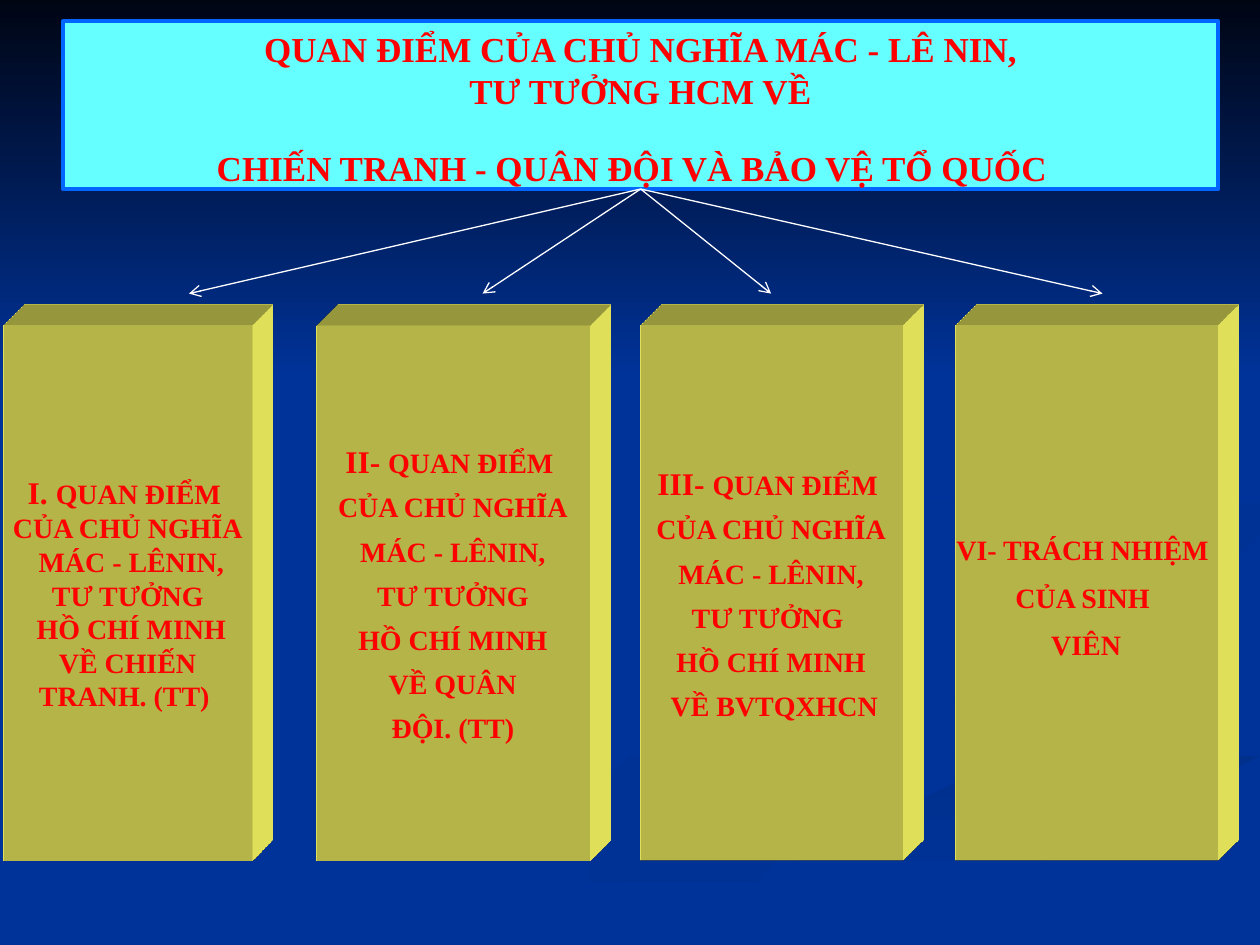
from dataclasses import dataclass
from lxml.etree import SubElement
from pptx import Presentation
from pptx.dml.color import RGBColor
from pptx.enum.shapes import MSO_CONNECTOR, MSO_SHAPE
from pptx.enum.text import MSO_ANCHOR, PP_ALIGN
from pptx.oxml import parse_xml
from pptx.oxml.ns import nsdecls, qn
from pptx.util import Inches, Pt


@dataclass(frozen=True)
class Theme:
    font: str = "Times New Roman"
    back: str = "003399"
    night: str = "000514"
    panel: str = "66FFFF"
    edge: str = "0066FF"
    block: str = "FFFF66"
    text: str = "FF0000"
    arrow: str = "FFFFFF"
    head: int = 20
    mark: int = 18
    body: int = 16
    tall: int = 40


T = Theme()
W, H = 10, 7.5

# Content: each line is a list of (text, size) runs
TITLE = [
    [("QUAN ĐIỂM CỦA CHỦ NGHĨA MÁC - LÊ NIN,", T.head)],
    [(" TƯ TƯỞNG HCM VỀ ", T.head)],
    [("CHIẾN TRANH - QUÂN ĐỘI VÀ BẢO VỆ TỔ QUỐC", T.head), (" ", T.tall)],
]
# Columns: left, width, arrow tip, numeral, lines, paragraph format
COLS = [
    (0.03, 1.97, 1.5, "I. ",
     ["QUAN ĐIỂM ", "CỦA CHỦ NGHĨA", " MÁC - LÊNIN,", "TƯ TƯỞNG",
      " HỒ CHÍ MINH", " VỀ CHIẾN ", "TRANH. (TT) "], {}),
    (2.51, 2.17, 3.83, "II- ",
     ["QUAN ĐIỂM ", "CỦA CHỦ NGHĨA", "MÁC - LÊNIN,", "TƯ TƯỞNG",
      "HỒ CHÍ MINH", " VỀ QUÂN ", "ĐỘI. (TT)"], {"before": 6}),
    (5.08, 2.08, 6.12, "III- ",
     ["QUAN ĐIỂM ", "CỦA CHỦ NGHĨA", "MÁC - LÊNIN,", "TƯ TƯỞNG ",
      "HỒ CHÍ MINH", " VỀ BVTQXHCN"], {"before": 6}),
    (7.58, 2.08, 8.75, "",
     ["VI- TRÁCH NHIỆM ", "CỦA SINH ", "VIÊN"],
     {"before": 3.2, "space": 1.25}),
]
# Backdrop ribbons: first colour, last colour, angle, outline
RIBBONS = [
    (T.back, "003193", 0,
     [(7.81, 5.53), (7.31, 5.33), (6.42, 5.07), (5.87, 4.81), (5.75, 4.59),
      (5.72, 4.76), (6.02, 4.95), (6.79, 5.19), (7.41, 5.39), (7.81, 5.56),
      (7.85, 5.7), (7.59, 5.9), (6.84, 6.13), (5.39, 6.49), (4.17, 6.9),
      (3, 7.49), (3.61, 7.49), (4.66, 7), (5.94, 6.56), (7.4, 6.18),
      (7.91, 5.97), (8, 5.81)]),
    (T.back, "003193", 45,
     [(9.43, 5.7), (9.3, 5.53), (8.88, 5.35), (7.92, 5.09), (7.45, 4.9),
      (7.24, 4.64), (7.33, 4.88), (7.66, 5.12), (8.38, 5.36), (8.92, 5.53),
      (9.17, 5.76), (9.14, 5.89), (8.94, 6.05), (9.32, 5.89)]),
    ("002F8C", T.back, 90,
     [(5.03, 7.49), (5.71, 7.49), (6.3, 7.19), (7.22, 6.82), (8.21, 6.51),
      (9.98, 6.09), (9.98, 5.81), (9.5, 5.98), (7.64, 6.47), (6.3, 6.93),
      (5.43, 7.33)]),
    (T.back, T.back, 0,
     [(7.25, 4.64), (7.45, 4.9), (7.93, 5.09), (8.89, 5.35), (9.31, 5.53),
      (9.43, 5.7), (9.31, 5.9), (8.92, 6.05), (7.8, 6.34), (6.19, 6.84),
      (4.77, 7.49), (5.19, 7.47), (6.3, 6.93), (7.65, 6.47), (9.51, 5.98),
      (9.99, 5.81), (9.99, 5.38), (9.04, 5.19), (8.17, 4.92), (7.81, 4.63),
      (8, 4.42), (8.65, 4.24), (9.99, 4.02), (9.99, 3.87), (9.2, 4.01),
      (7.88, 4.22), (7.42, 4.39)]),
    ("003091", T.back, 45,
     [(7.81, 4.6), (7.91, 4.78), (8.26, 4.96), (8.06, 4.8), (8.09, 4.66),
      (8.43, 4.48), (8.96, 4.35), (9.98, 4.2), (9.98, 4.02), (8.65, 4.24),
      (8.1, 4.37)]),
    ("002F8E", T.back, 45,
     [(6.83, 4.3), (7.86, 4.12), (8.55, 3.91), (8.89, 3.62), (8.93, 3.35),
      (8.73, 2.99), (8.21, 2.61), (7.62, 2.33), (8.26, 2.66), (8.7, 2.99),
      (8.89, 3.35), (8.76, 3.6), (8.3, 3.82), (7.33, 4.04), (6.25, 4.26),
      (5.84, 4.46), (5.8, 4.74), (6.22, 5), (5.94, 4.75), (6.06, 4.52),
      (6.49, 4.36)]),
    (T.night, T.back, 90, [(0, 0), (0, 3.08), (W, 3.08), (W, 0)]),
]
DEPTH = f"""<a:x {nsdecls('a')}>
  <a:scene3d><a:camera prst="legacyObliqueTopRight"/>
    <a:lightRig rig="legacyFlat3" dir="b"/></a:scene3d>
  <a:sp3d extrusionH="430200" prstMaterial="legacyMatte">
    <a:bevelT w="13500" h="13500" prst="angle"/>
    <a:bevelB w="13500" h="13500" prst="angle"/>
    <a:extrusionClr><a:srgbClr val="{T.block}"/></a:extrusionClr></a:sp3d>
</a:x>"""


def tint(code):
    return RGBColor.from_string(code)


def write(shape, lines, wrap=True, anchor=MSO_ANCHOR.TOP, before=0, space=None):
    frame = shape.text_frame
    frame.word_wrap, frame.vertical_anchor = wrap, anchor
    for i, runs in enumerate(lines):
        para = frame.add_paragraph() if i else frame.paragraphs[0]
        para.alignment = PP_ALIGN.CENTER
        para.space_before, para.line_spacing = Pt(before), space
        for text, size in runs:
            run = para.add_run()
            run.text = text
            font = run.font
            font.name, font.size, font.bold = T.font, Pt(size), True
            font.color.rgb = tint(T.text)


def panel(slide, box, fill):
    shape = slide.shapes.add_shape(MSO_SHAPE.RECTANGLE, *map(Inches, box))
    shape.shadow.inherit = False
    shape.fill.solid()
    shape.fill.fore_color.rgb = tint(fill)
    shape.line.fill.background()
    return shape


def ribbon(slide, first, last, angle, points):
    pen = slide.shapes.build_freeform(*points[0], scale=Inches(1))
    pen.add_line_segments(points[1:], close=True)
    shape = pen.convert_to_shape()
    shape.shadow.inherit = False
    shape.line.fill.background()
    shape.fill.gradient()
    shape.fill.gradient_angle = 360 - angle
    for stop, code, spot in zip(shape.fill.gradient_stops, (first, last), (0, 1)):
        stop.color.rgb, stop.position = tint(code), spot


def arrow(slide, start, tip):
    line = slide.shapes.add_connector(MSO_CONNECTOR.STRAIGHT, 0, 0, *map(Inches, tip))
    line.begin_connect(start, 2)
    line.line.color.rgb, line.line.width = tint(T.arrow), Pt(0.75)
    SubElement(line.line._get_or_add_ln(), qn("a:tailEnd"), type="arrow")
    SubElement(line._element.spPr, qn("a:effectLst"))


def main():
    deck = Presentation()
    deck.slide_width, deck.slide_height = Inches(W), Inches(H)
    slide = deck.slides.add_slide(deck.slide_layouts[6])

    # Backdrop
    slide.background.fill.solid()
    slide.background.fill.fore_color.rgb = tint(T.back)
    for item in RIBBONS:
        ribbon(slide, *item)

    # Title panel
    title = panel(slide, (0.5, 0.17, 9.17, 1.33), T.panel)
    title.line.color.rgb, title.line.width = tint(T.edge), Pt(2.25)
    write(title, TITLE)

    # Raised blocks
    for left, width, _, mark, texts, form in COLS:
        block = panel(slide, (left, 2.58, width, 4.25), T.block)
        block._element.spPr.extend(list(parse_xml(DEPTH)))
        lines = [[(text, T.body)] for text in texts]
        if mark:
            lines[0].insert(0, (mark, T.mark))
        write(block, lines, wrap=False, anchor=MSO_ANCHOR.MIDDLE, **form)

    # Arrows from the title to the blocks
    for col in COLS:
        arrow(slide, title, (col[2], 2.33))

    deck.save("out.pptx")


if __name__ == "__main__":
    main()
